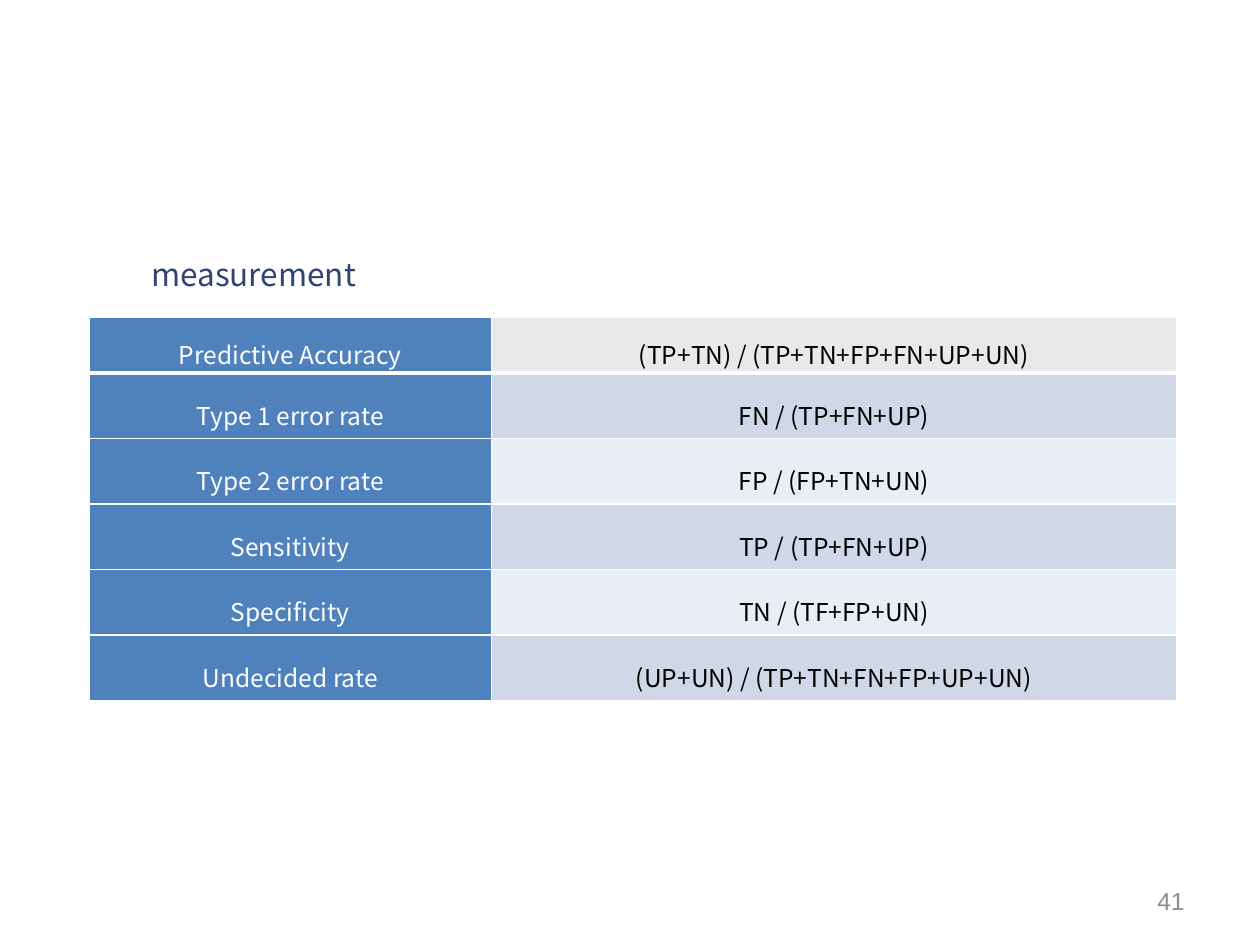
import pptx
import pptx.dml.color
import pptx.enum.text
import pptx.oxml
import pptx.oxml.ns
import pptx.util
from pptx.util import Inches

TITLE = "measurement"
PAGE_NUMBER = "41"
MEASURES = [
    ("Predictive Accuracy", "(TP+TN) / (TP+TN+FP+FN+UP+UN)"),
    ("Type 1 error rate", "FN / (TP+FN+UP)"),
    ("Type 2 error rate", "FP / (FP+TN+UN)"),
    ("Sensitivity", "TP / (TP+FN+UP)"),
    ("Specificity", "TN / (TF+FP+UN)"),
    ("Undecided rate", "(UP+UN) / (TP+TN+FN+FP+UP+UN)"),
]
THEME = {
    "font": "Noto Sans CJK TC", "number_font": "Arial",
    "title_size": 18, "text_size": 14,
    "title": "304371", "number": "8C8C8C", "name": "FFFFFF", "formula": "000000",
    "name_fill": "4F81BD", "first_fill": "E9E9EC",
    "bands": ("E9EDF4", "D0D8E8"), "border": "FFFFFF",
}
COLUMN_WIDTHS = (3.19, 5.44)
FIRST_ROW, ROW = 0.44, 0.52
ALIGN = pptx.enum.text.PP_ALIGN
ANCHOR = pptx.enum.text.MSO_ANCHOR


def rgb(key):
    return pptx.dml.color.RGBColor.from_string(key)


def write(tf, text, size, color, align, font=THEME["font"]):
    p = tf.paragraphs[0]
    p.alignment = align
    r = p.add_run()
    r.text = text
    r.font.name = font
    r.font.size = pptx.util.Pt(size)
    r.font.color.rgb = rgb(color)
    return p


def set_borders(cell, widths):
    """Draw the left, right, top and bottom lines, widths in points."""
    tc_pr = cell._tc.get_or_add_tcPr()
    for i, (side, width) in enumerate(zip("LRTB", widths)):
        tc_pr.insert(i, pptx.oxml.parse_xml(
            f'<a:ln{side} {pptx.oxml.ns.nsdecls("a")} w="{pptx.util.Pt(width)}">'
            f'<a:solidFill><a:srgbClr val="{THEME["border"]}"/></a:solidFill></a:ln{side}>'))


def fill_cell(cell, text, color, fill, widths):
    cell.fill.solid()
    cell.fill.fore_color.rgb = rgb(fill)
    cell.vertical_anchor = ANCHOR.MIDDLE
    cell.margin_left = cell.margin_right = Inches(0.07)
    cell.margin_top = cell.margin_bottom = 0
    p = write(cell.text_frame, text, THEME["text_size"], color, ALIGN.CENTER)
    p.line_spacing = 1.5
    set_borders(cell, widths)


def add_title(s):
    sp = s.shapes.title
    sp.left, sp.top, sp.width, sp.height = map(Inches, (1.1, 1.97, 1.84, 0.4))
    tf = sp.text_frame
    tf.auto_size = pptx.enum.text.MSO_AUTO_SIZE.NONE
    tf.word_wrap = False
    tf.vertical_anchor = ANCHOR.TOP
    write(tf, TITLE, THEME["title_size"], THEME["title"], ALIGN.LEFT)


def add_measures(s):
    height = FIRST_ROW + ROW * (len(MEASURES) - 1)
    table = s.shapes.add_table(
        len(MEASURES), len(COLUMN_WIDTHS), Inches(0.71), Inches(2.52),
        Inches(sum(COLUMN_WIDTHS)), Inches(height)).table
    for column, width in zip(table.columns, COLUMN_WIDTHS):
        column.width = Inches(width)
    for i, (name, formula) in enumerate(MEASURES):
        table.rows[i].height = Inches(ROW if i else FIRST_ROW)
        band = THEME["bands"][i % 2] if i else THEME["first_fill"]
        widths = (1, 1, 3 if i == 1 else 1, 1 if i else 3)
        fill_cell(table.cell(i, 0), name, THEME["name"], THEME["name_fill"], widths)
        fill_cell(table.cell(i, 1), formula, THEME["formula"], band, widths)


def add_page_number(s):
    tf = s.shapes.add_textbox(*map(Inches, (7.17, 6.95, 2.33, 0.4))).text_frame
    tf.word_wrap = True
    tf.vertical_anchor = ANCHOR.MIDDLE
    write(tf, PAGE_NUMBER, THEME["text_size"], THEME["number"], ALIGN.RIGHT,
          THEME["number_font"])


def main():
    prs = pptx.Presentation()
    prs.slide_width, prs.slide_height = Inches(10), Inches(7.5)
    s = prs.slides.add_slide(prs.slide_layouts.get_by_name("Title Only"))
    add_title(s)
    add_measures(s)
    add_page_number(s)
    prs.save("out.pptx")


if __name__ == "__main__":
    main()
